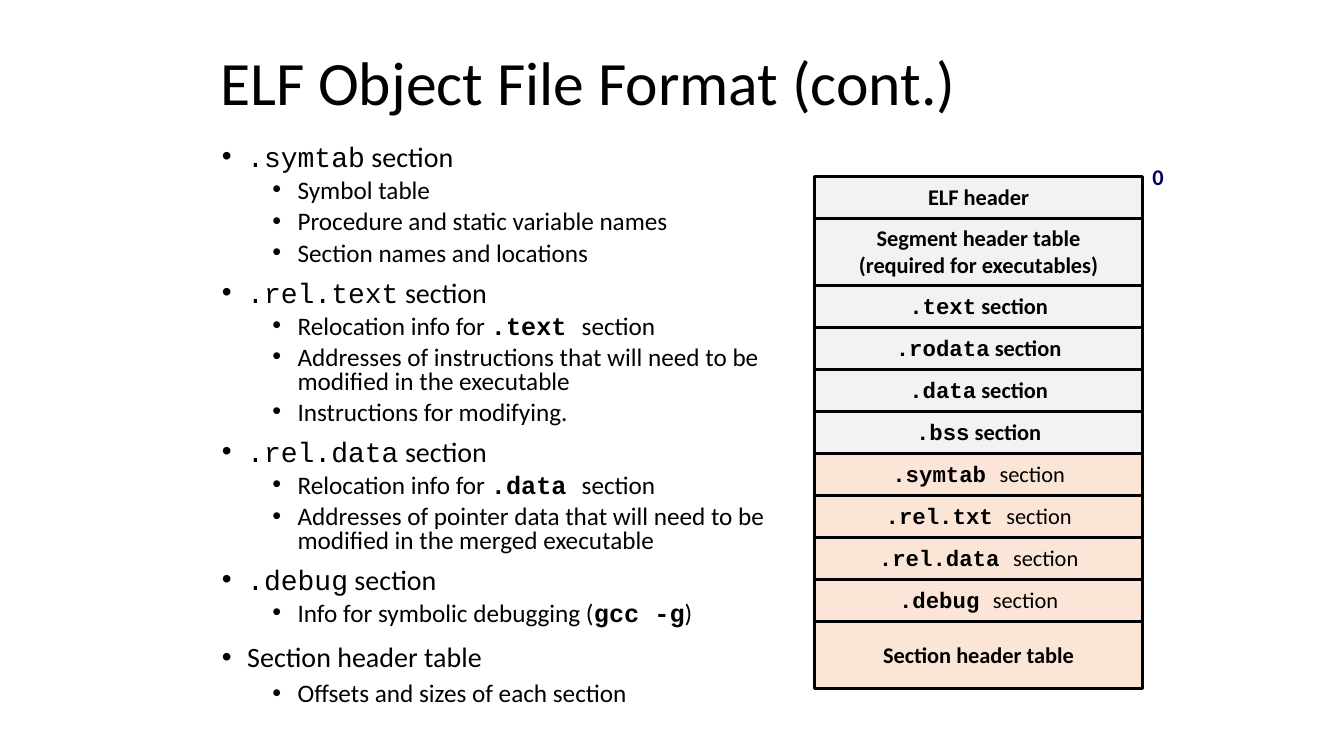
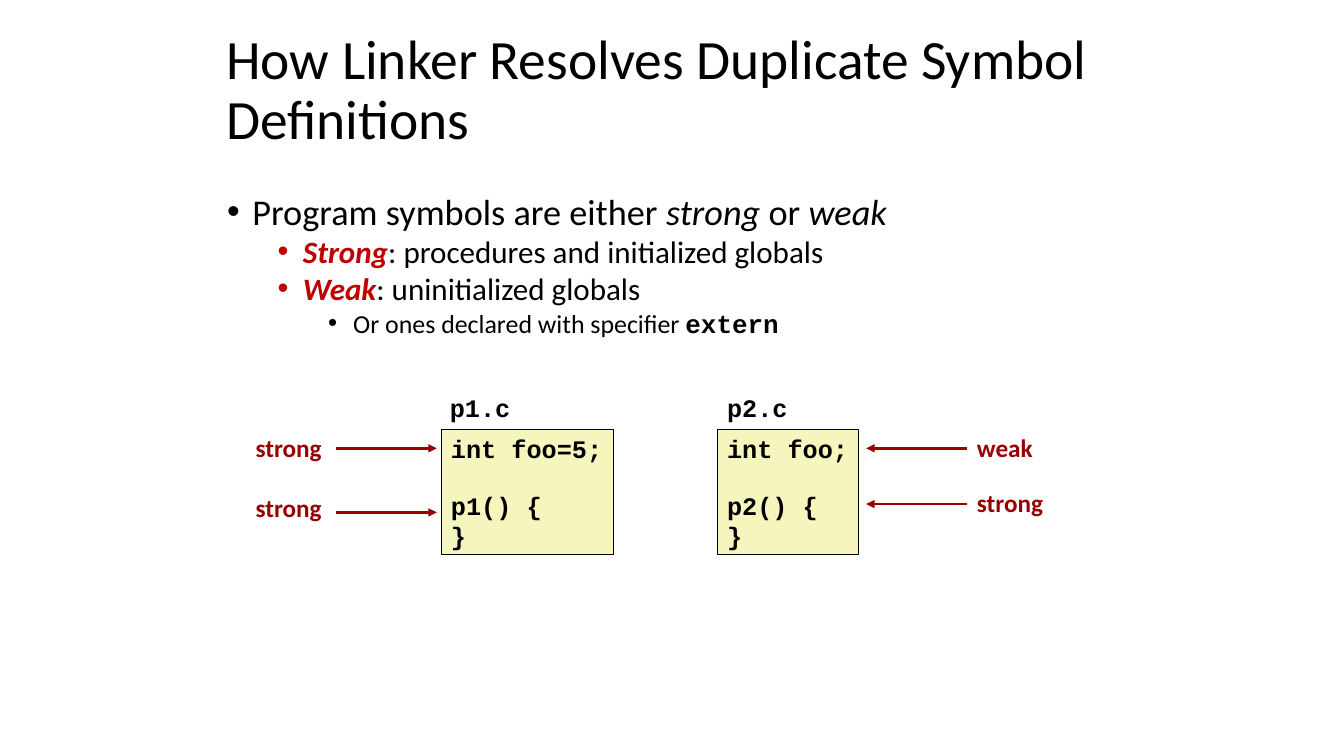
from lxml import etree
from pptx import Presentation
from pptx import util as u
from pptx.dml.color import RGBColor
from pptx.enum import shapes, text
from pptx.oxml.ns import qn

PX = 9525  # EMU per px, 96 px to the inch
COLORS = {"ink": "000000", "grey": "F2F2F2", "peach": "FBE5D6", "navy": "000066",
          "red": "C00000", "dark red": "990000", "yellow": "F6F5BD"}
SANS, MONO = "Calibri", "Courier New"


def rgb(name):
    return RGBColor.from_string(COLORS[name])


def write(para, spans, size, color="ink", spacing=0.98):
    """Fill a paragraph with (text, style) spans; styles: m mono, b bold, i italic, r red."""
    para.line_spacing = spacing
    para.font.size, para.font.name = u.Pt(size), SANS
    para.font.color.rgb = rgb(color)
    for words, style in spans:
        run = para.add_run()
        run.text = words
        font = para.font if len(spans) == 1 else run.font
        if "m" in style:
            font.name = MONO
        if "b" in style:
            font.bold = True
        if "i" in style:
            font.italic = True
        if "r" in style:
            font.color.rgb = rgb("red")


deck = Presentation()
deck.slide_width, deck.slide_height = 1280 * PX, 720 * PX

# Outline rows: level, line spacing, spans
elf_rows = [
    (0, 0.71, [(".symtab", "m"), (" section", "")]),
    (1, 0.78, [("Symbol table", "")]),
    (1, 0.78, [("Procedure and static variable names", "")]),
    (1, 0.78, [("Section names and locations", "")]),
    (0, 0.71, [(".rel.text", "m"), (" section", "")]),
    (1, 0.78, [("Relocation info for ", ""), (".text ", "mb"), ("section", "")]),
    (1, 0.78, [("Addresses of instructions that will need to be modified in the executable", "")]),
    (1, 0.78, [("Instructions for modifying.", "")]),
    (0, 0.71, [(".rel.data", "m"), (" section", "")]),
    (1, 0.78, [("Relocation info for ", ""), (".data ", "mb"), ("section", "")]),
    (1, 0.78, [("Addresses of pointer data that will need to be modified in the merged executable", "")]),
    (0, 0.71, [(".debug", "m"), (" section", "")]),
    (1, 0.78, [("Info for symbolic debugging (", ""), ("gcc -g", "mb"), (")", "")]),
    (0, 0.88, [("Section header table", "")]),
    (1, 0.88, [("Offsets and sizes of each section", "")]),
]
symbol_rows = [
    (0, 0.8, [("Program symbols are either ", ""), ("strong", "i"), (" or ", ""), ("weak", "i")]),
    (1, 0.8, [("Strong", "bir"), (": procedures and initialized globals", "")]),
    (1, 0.8, [("Weak", "bir"), (": uninitialized globals", "")]),
    (2, 0.8, [("Or ones declared with specifier ", ""), ("extern", "mb")]),
]

# Title, its place and size, outline place, sizes and gaps by level, outline rows
page_specs = [
    ("ELF Object File Format (cont.)", (200, 40), 44,
     (202, 137, 554, 574), (20, 18), (12.5, 5.6), elf_rows),
    ("How Linker Resolves Duplicate Symbol Definitions", (206, 46), 39.6,
     (207, 184, 873, 152), (25.9, 22.2, 18.5), (10, 5, 5), symbol_rows),
]
pages = []
for heading, (left, top), heading_size, area, sizes, gaps, rows in page_specs:
    page = deck.slides.add_slide(deck.slide_layouts[5])
    pages.append(page)
    title = page.shapes.title
    title.left, title.top, title.width, title.height = left * PX, top * PX, 915 * PX, 83 * PX
    frame = title.text_frame
    frame.auto_size = text.MSO_AUTO_SIZE.NONE
    frame.vertical_anchor = text.MSO_ANCHOR.MIDDLE
    frame.paragraphs[0].alignment = text.PP_ALIGN.LEFT
    write(frame.paragraphs[0], [(heading, "")], heading_size, spacing=0.9)

    frame = page.shapes.add_textbox(*(n * PX for n in area)).text_frame
    frame.word_wrap = True
    for index, (level, spacing, spans) in enumerate(rows):
        para = frame.add_paragraph() if index else frame.paragraphs[0]
        para.level = level
        if index:
            para.space_before = u.Pt(gaps[level])
        props = para._p.get_or_add_pPr()
        props.set("marL", str((24 + 48 * level) * PX))
        props.set("indent", str(-24 * PX))
        etree.SubElement(props, qn("a:buFont")).set("typeface", "Arial")
        etree.SubElement(props, qn("a:buChar")).set("char", "•")
        write(para, spans, sizes[level], spacing=spacing)

elf_page, linker_page = pages

# ELF file layout: fill, height, lines of spans
file_parts = [("grey", 40, [[("ELF header", "b")]]),
              ("grey", 64, [[("Segment header table", "b")], [("(required for executables)", "b")]])]
file_parts += [("grey", 40, [[(name, "mb"), (" section", "b")]])
               for name in (".text", ".rodata", ".data", ".bss")]
file_parts += [("peach", 40, [[(name + " ", "mb"), ("section", "")]])
               for name in (".symtab", ".rel.txt", ".rel.data", ".debug")]
file_parts.append(("peach", 64, [[("Section header table", "b")]]))
top = 168
for fill, height, lines in file_parts:
    box = elf_page.shapes.add_shape(shapes.MSO_SHAPE.RECTANGLE,
                                    776 * PX, top * PX, 312 * PX, height * PX)
    box.shadow.inherit = False
    box.fill.solid()
    box.fill.fore_color.rgb = rgb(fill)
    box.line.color.rgb = rgb("ink")
    box.line.width = u.Pt(2)
    frame = box.text_frame
    frame.word_wrap = False
    frame.vertical_anchor = text.MSO_ANCHOR.MIDDLE
    for index, spans in enumerate(lines):
        para = frame.add_paragraph() if index else frame.paragraphs[0]
        para.alignment = text.PP_ALIGN.CENTER
        write(para, spans, 16)
    top += height

# Code boxes: left, width, lines
for left, width, lines in [(420, 164, ("int foo=5;", "p1() {", "}")),
                           (683, 134, ("int foo;", "p2() {", "}"))]:
    box = linker_page.shapes.add_shape(shapes.MSO_SHAPE.RECTANGLE,
                                       left * PX, 409 * PX, width * PX, 119 * PX)
    box.shadow.inherit = False
    box.fill.solid()
    box.fill.fore_color.rgb = rgb("yellow")
    box.line.color.rgb = rgb("ink")
    box.line.width = u.Pt(0.25)
    frame = box.text_frame
    frame.word_wrap = False
    frame.vertical_anchor = text.MSO_ANCHOR.TOP
    for index, code in enumerate(lines):
        para = frame.add_paragraph() if index else frame.paragraphs[0]
        para.alignment = text.PP_ALIGN.LEFT
        if index == 1:
            para.space_before = u.Pt(20)
        write(para, [(code, "mb")], 18)

# Labels: page, area, words, style, size, colour
labels = [
    (elf_page, (1088, 152, 30, 36), "0", "b", 16, "navy"),
    (linker_page, (419, 370, 77, 37), "p1.c", "mb", 18, "ink"),
    (linker_page, (683, 370, 77, 37), "p2.c", "mb", 18, "ink"),
    (linker_page, (234, 408, 83, 38), "strong", "b", 18, "dark red"),
    (linker_page, (234, 466, 83, 38), "strong", "b", 18, "dark red"),
    (linker_page, (921, 408, 73, 38), "weak", "b", 18, "dark red"),
    (linker_page, (921, 461, 83, 38), "strong", "b", 18, "dark red"),
]
for page, area, words, style, size, color in labels:
    frame = page.shapes.add_textbox(*(n * PX for n in area)).text_frame
    frame.word_wrap = False
    write(frame.paragraphs[0], [(words, style)], size, color)

# Arrows from label to code: start x, end x, y
for start, end, y in [(320, 416, 427), (320, 416, 488), (921, 825, 427), (921, 825, 480)]:
    arrow = linker_page.shapes.add_connector(shapes.MSO_CONNECTOR.STRAIGHT,
                                             start * PX, y * PX, end * PX, y * PX)
    arrow.line.color.rgb = rgb("dark red")
    arrow.line.width = u.Pt(2)
    etree.SubElement(arrow.line._get_or_add_ln(), qn("a:tailEnd")).set("type", "triangle")
    etree.SubElement(arrow._element.spPr, qn("a:effectLst"))

deck.save("out.pptx")
